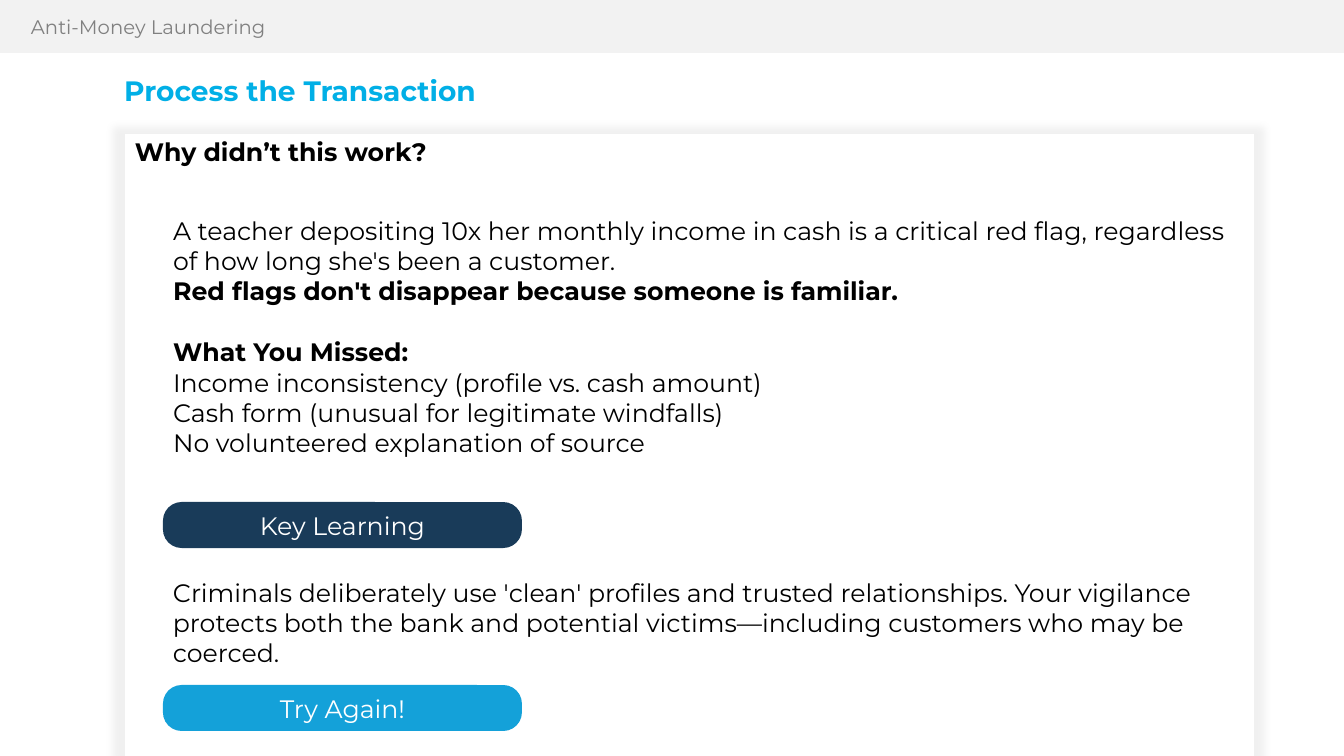
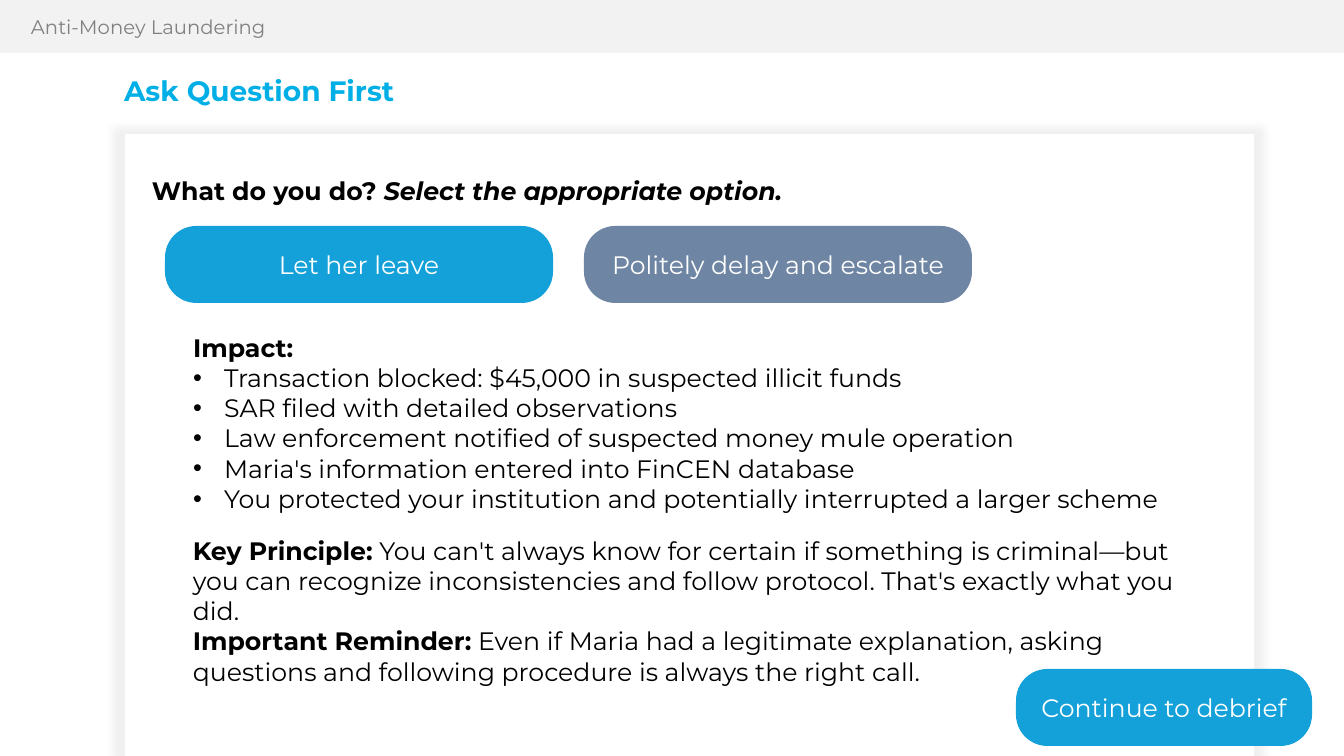
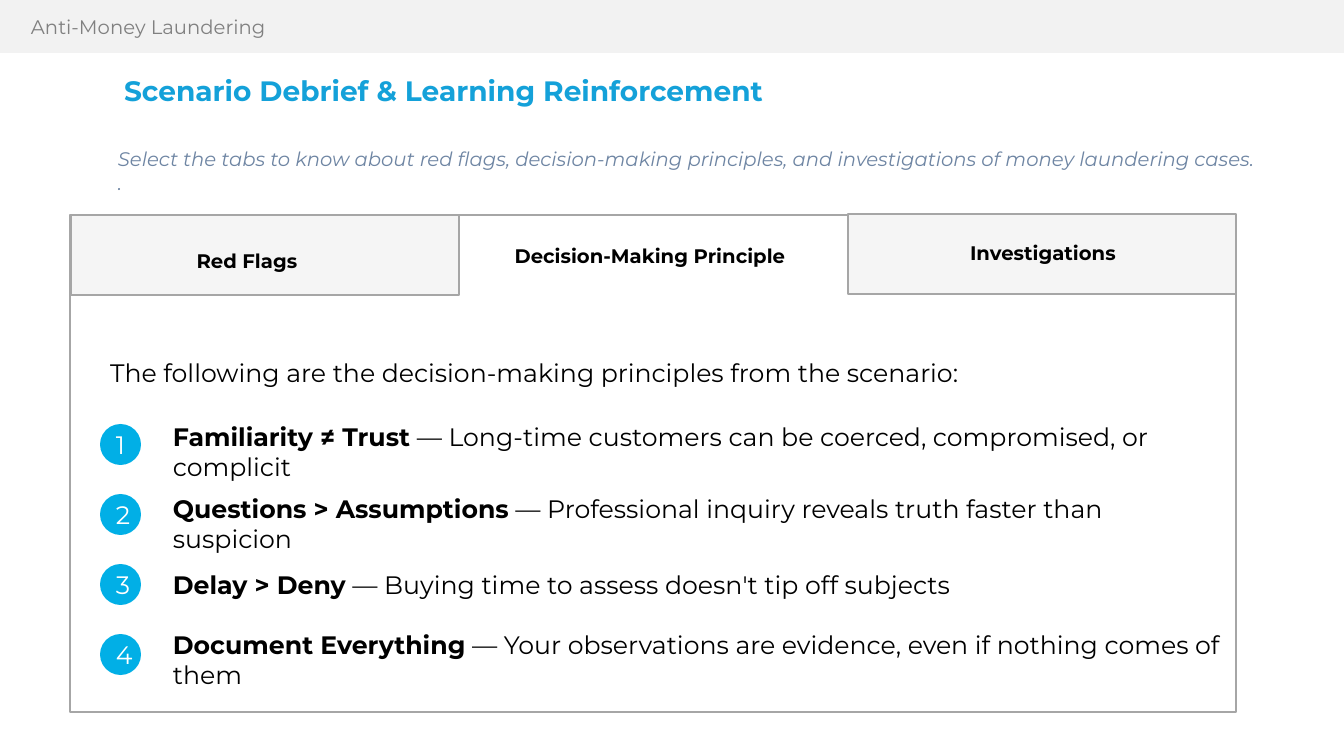
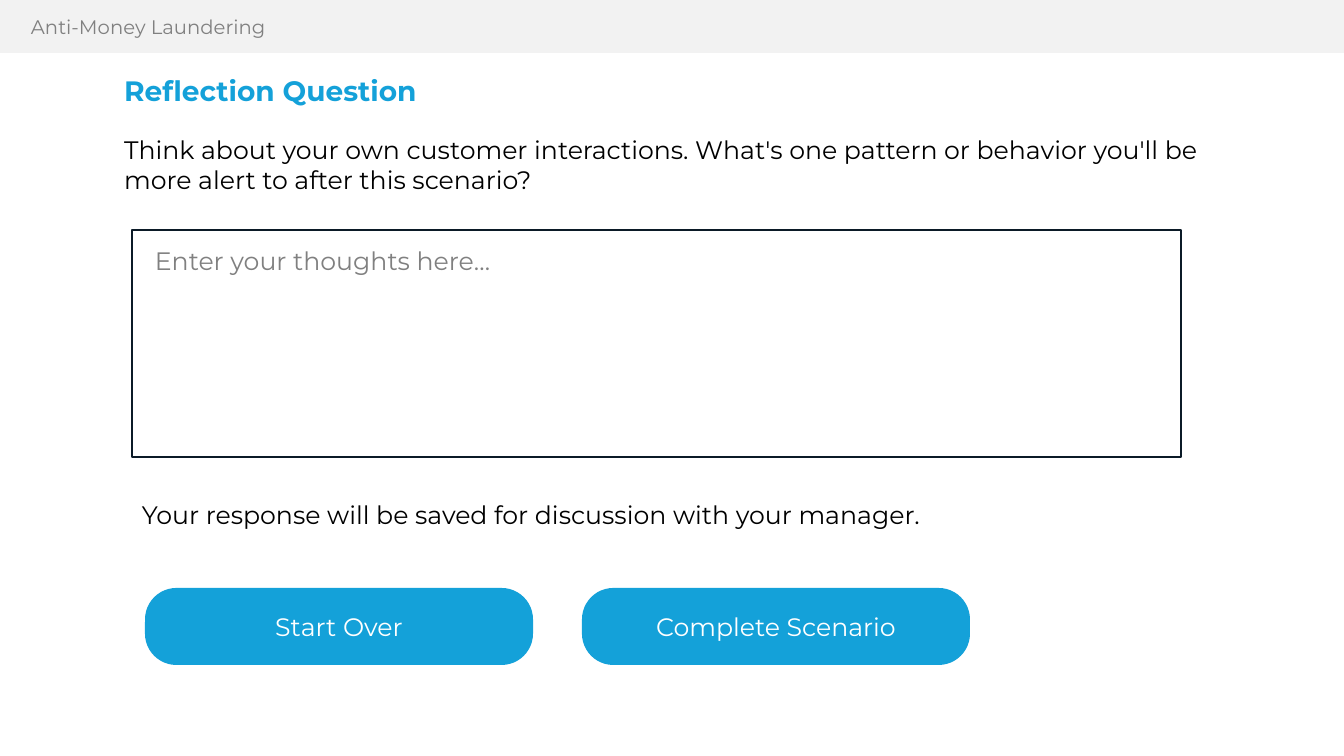
import typing

import lxml.etree
import pptx
import pptx.dml.color
import pptx.enum.shapes
import pptx.enum.text
import pptx.oxml.ns
import pptx.util

EMU_PER_PX = 914400 / 100.8
FONT = "Montserrat"
CYAN, BLUE, NAVY, SLATE = "01AFE6", "14A1D9", "193B59", "6E85A3"
WHITE, BLACK, GREY = "FFFFFF", "000000", "808080"
BAND_GREY, TAB_GREY, RULE_GREY, FIELD_INK = "F2F2F2", "F5F5F5", "A6A6A6", "0B1A27"

ALIGN = pptx.enum.text.PP_ALIGN
ANCHOR = pptx.enum.text.MSO_ANCHOR
SHAPE = pptx.enum.shapes.MSO_SHAPE


class Box(typing.NamedTuple):
    x: int
    y: int
    w: int
    h: int

    def inside(self, dx, dy, w, h):
        return Box(self.x + dx, self.y + dy, w, h)

    def emu(self):
        return [px(length) for length in self]


SLIDE = Box(0, 0, 1344, 756)
CARD = Box(125, 134, 1129, 622)
TITLE = Box(114, 72, 715, 46)


def px(length):
    return pptx.util.Emu(round(length * EMU_PER_PX))


def colour(hex_code):
    return pptx.dml.color.RGBColor.from_string(hex_code)


def child(parent, tag, **attributes):
    return lxml.etree.SubElement(parent, pptx.oxml.ns.qn(tag), attributes)


def write(frame, paragraphs, size=18, ink=BLACK, align=ALIGN.LEFT, line_spacing=None):
    frame.word_wrap = True
    for index, runs in enumerate(paragraphs):
        paragraph = frame.paragraphs[0] if index == 0 else frame.add_paragraph()
        paragraph.alignment = align
        paragraph.line_spacing = line_spacing
        for words, style in runs:
            run = paragraph.add_run()
            run.text = words
            run.font.name = FONT
            run.font.size = pptx.util.Pt(size)
            run.font.bold = "b" in style
            run.font.italic = "i" in style
            run.font.color.rgb = colour(ink)


def add_text(slide, box, *paragraphs, **style):
    label = slide.shapes.add_textbox(*box.emu())
    write(label.text_frame, paragraphs, **style)
    return label


def add_block(slide, box, fill, line=None, kind=SHAPE.RECTANGLE, behind=False):
    block = slide.shapes.add_shape(kind, *box.emu())
    block.shadow.inherit = False
    block.fill.solid()
    block.fill.fore_color.rgb = colour(fill)
    if line:
        block.line.color.rgb = colour(line)
        block.line.width = pptx.util.Pt(1)
    else:
        block.line.fill.background()
    if behind:
        slide.shapes.element.insert(2, block.element)
    return block


def add_card(slide, box):
    card = add_block(slide, box, WHITE, behind=True)
    effects = card.element.spPr.find(pptx.oxml.ns.qn("a:effectLst"))
    glow = child(effects, "a:outerShdw", blurRad="63500", sx="102000", sy="102000",
                 algn="ctr", rotWithShape="0")
    child(child(glow, "a:srgbClr", val=BLACK), "a:alpha", val="5000")


def add_button(slide, box, label, fill=BLUE):
    button = add_block(slide, box, fill, kind=SHAPE.ROUNDED_RECTANGLE)
    button.adjustments[0] = 0.407
    write(button.text_frame, [[(label, "")]], ink=WHITE, align=ALIGN.CENTER)


def add_button_row(slide, first, gap, buttons):
    for index, (label, fill) in enumerate(buttons):
        place = first.inside(index * (first.w + gap), 0, first.w, first.h)
        add_button(slide, place, label, fill)


def fill_title(slide, words, ink):
    title = slide.shapes.title
    title.left, title.top, title.width, title.height = TITLE.emu()
    frame = title.text_frame
    frame.auto_size = pptx.enum.text.MSO_AUTO_SIZE.NONE
    frame.vertical_anchor = ANCHOR.TOP
    write(frame, [[(words, "b")]], size=20, ink=ink, line_spacing=0.9)


def fill_body(slide, box, paragraphs, bulleted=(), spaced=()):
    body = slide.placeholders[1]
    body.left, body.top, body.width, body.height = box.emu()
    frame = body.text_frame
    frame.auto_size = pptx.enum.text.MSO_AUTO_SIZE.NONE
    frame.vertical_anchor = ANCHOR.TOP
    write(frame, paragraphs)
    for index, paragraph in enumerate(frame.paragraphs):
        paragraph.space_before = pptx.util.Pt(22 if index in spaced else 0)
        properties = paragraph._p.get_or_add_pPr()
        indent = px(31) if index in bulleted else 0
        properties.set("marL", str(indent))
        properties.set("indent", str(-indent))
        if indent:
            child(properties, "a:buFont", typeface="Arial")
            child(properties, "a:buChar", char="•")
        else:
            child(properties, "a:buNone")


def add_master_band(deck, slide):
    band = add_block(slide, SLIDE.inside(0, 0, SLIDE.w, 53), BAND_GREY)
    course = add_text(slide, SLIDE.inside(21, 10, 885, 34),
                      [("Anti-Money Laundering", "")], size=14, ink=GREY)
    for number, part in enumerate((band, course), start=20):
        part.element.xpath(".//p:cNvPr")[0].set("id", str(number))
        deck.slide_master.shapes.element.append(part.element)


def add_slide(deck, title, ink):
    slide = deck.slides.add_slide(deck.slide_layouts[1])
    fill_title(slide, title, ink)
    return slide


def build_feedback(slide, box):
    add_card(slide, box)
    add_text(slide, box.inside(0, -3, 1049, 40), [("Why didn’t this work?", "b")])
    fill_body(slide, box.inside(38, 76, 1077, 254), [
        [("A teacher depositing 10x her monthly income in cash is a critical red flag, "
          "regardless of how long she's been a customer.", "")],
        [("Red flags don't disappear because someone is familiar.", "b")],
        [("What You Missed:", "b")],
        [("Income inconsistency (profile vs. cash amount)", "")],
        [("Cash form (unusual for legitimate windfalls)", "")],
        [("No volunteered explanation of source", "")],
    ], spaced=(2,))
    add_button(slide, box.inside(38, 368, 359, 46), "Key Learning", NAVY)
    add_text(slide, box.inside(38, 438, 1077, 102), [
        ("Criminals deliberately use 'clean' profiles and trusted relationships. Your "
         "vigilance protects both the bank and potential victims—including customers "
         "who may be coerced.", "")])
    add_button(slide, box.inside(38, 551, 359, 46), "Try Again!")


def build_choice(slide, box):
    add_card(slide, box)
    add_text(slide, box.inside(17, 36, 1049, 40),
             [("What do you do? ", "b"), ("Select the appropriate option.", "bi")])
    add_button_row(slide, box.inside(40, 92, 388, 77), 31,
                   [("Let her leave", BLUE), ("Politely delay and escalate", SLATE)])
    fill_body(slide, box.inside(58, 193, 1035, 194), [
        [("Impact:", "b")],
        [("Transaction blocked: $45,000 in suspected illicit funds", "")],
        [("SAR filed with detailed observations", "")],
        [("Law enforcement notified of suspected money mule operation", "")],
        [("Maria's information entered into FinCEN database", "")],
        [("You protected your institution and potentially interrupted a larger scheme", "")],
    ], bulleted=range(1, 6))
    add_text(slide, box.inside(58, 396, 1008, 163),
             [("Key Principle:", "b"),
              (" You can't always know for certain if something is criminal—but you can "
               "recognize inconsistencies and follow protocol. That's exactly what you "
               "did.", "")],
             [("Important Reminder:", "b"),
              (" Even if Maria had a legitimate explanation, asking questions and "
               "following procedure is always the right call.", "")])
    add_button(slide, box.inside(891, 535, 296, 77), "Continue to debrief")


def add_tabs(slide, box):
    for dx, dy in ((1, 0), (778, -1)):
        add_block(slide, box.inside(dx, dy, 388, 80), TAB_GREY, RULE_GREY)
    for label, dx, dy, width in (("Red Flags", 71, 32, 212),
                                 ("Decision-Making Principle", 414, 27, 332),
                                 ("Investigations", 867, 24, 212)):
        add_text(slide, box.inside(dx, dy, width, 46), [(label, "b")],
                 size=14, align=ALIGN.CENTER, line_spacing=0.9)


def add_principles(slide, box):
    principles = (
        ("Familiarity ≠ Trust",
         "Long-time customers can be coerced, compromised, or complicit", -8, 1112, 72),
        ("Questions > Assumptions",
         "Professional inquiry reveals truth faster than suspicion", 64, 1057, 72),
        ("Delay > Deny",
         "Buying time to assess doesn't tip off subjects", 140, 1112, 40),
        ("Document Everything",
         "Your observations are evidence, even if nothing comes of them", 200, 1112, 72),
    )
    for index, (principle, meaning, dy, width, height) in enumerate(principles):
        number = add_block(slide, box.inside(0, index * 70, 41, 41), CYAN, kind=SHAPE.OVAL)
        write(number.text_frame, [[(str(index + 1), "")]], ink=WHITE, align=ALIGN.CENTER)
        add_text(slide, box.inside(63, dy, width, height),
                 [(principle, "b"), (" — " + meaning, "")])


def build_debrief(slide, box):
    add_block(slide, box, WHITE, RULE_GREY, behind=True)
    add_text(slide, box.inside(38, -73, 1166, 57),
             [("Select the tabs to know about red flags, decision-making principles, and "
               "investigations of money laundering cases.", "i")],
             [(".", "i")], size=14, ink=SLATE)
    add_tabs(slide, box)
    fill_body(slide, box.inside(30, 137, 1100, 40),
              [[("The following are the decision-making principles from the scenario:", "")]])
    add_principles(slide, box.inside(30, 209, 1112, 272))


def build_reflection(slide, box):
    fill_body(slide, box.inside(0, 0, 1100, 72), [
        [("Think about your own customer interactions. What's one pattern or behavior "
          "you'll be more alert to after this scenario?", "")]])
    add_block(slide, box.inside(18, 101, 1049, 227), WHITE, FIELD_INK)
    add_text(slide, box.inside(31, 111, 853, 40),
             [("Enter your thoughts here…", "")], ink=GREY)
    add_text(slide, box.inside(18, 365, 898, 40),
             [("Your response will be saved for discussion with your manager.", "")])
    add_button_row(slide, box.inside(31, 459, 388, 77), 49,
                   [("Start Over", BLUE), ("Complete Scenario", BLUE)])


def main():
    deck = pptx.Presentation()
    deck.slide_width, deck.slide_height = px(SLIDE.w), px(SLIDE.h)
    pages = (
        ("Process the Transaction", CYAN, build_feedback, CARD),
        ("Ask Question First", CYAN, build_choice, CARD),
        ("Scenario Debrief & Learning Reinforcement", BLUE, build_debrief,
         Box(70, 215, 1166, 497)),
        ("Reflection Question", BLUE, build_reflection, Box(114, 129, 1100, 536)),
    )
    for title, ink, build, box in pages:
        build(add_slide(deck, title, ink), box)
    add_master_band(deck, deck.slides[0])
    deck.save("out.pptx")


if __name__ == "__main__":
    main()
